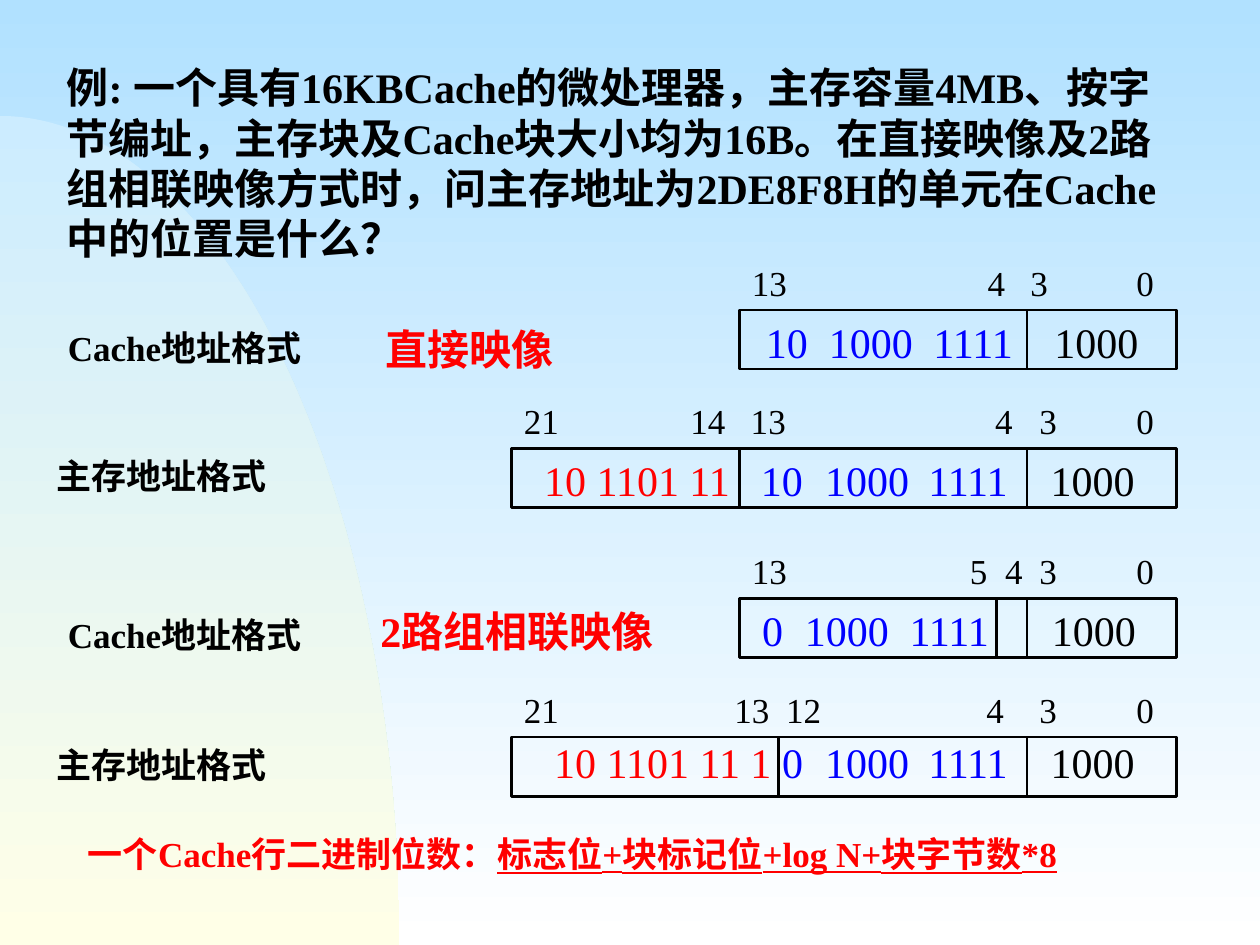
"""Build the slide on cache and main memory address formats."""
from dataclasses import dataclass
from math import cos, pi, sin

from lxml.etree import SubElement
from pptx import Presentation
from pptx.dml.color import RGBColor
from pptx.enum.shapes import MSO_CONNECTOR, MSO_SHAPE
from pptx.enum.text import MSO_AUTO_SIZE
from pptx.oxml.ns import qn
from pptx.util import Inches, Pt

RECT = MSO_SHAPE.RECTANGLE
LINE = MSO_CONNECTOR.STRAIGHT
GROW = MSO_AUTO_SIZE.SHAPE_TO_FIT_TEXT


@dataclass(frozen=True)
class Theme:
    """Colours, fonts and type sizes."""
    black: str = "000000"
    red: str = "FF0000"
    blue: str = "0000FF"
    sky: tuple = ("B1E1FF", "FFFFFF")
    glow: tuple = ("CCECFF", "FFFFE7")
    latin: str = "Times New Roman"
    cjk: str = "Noto Sans CJK SC"
    big: int = 24
    small: int = 20
    rule: float = 1.5


@dataclass(frozen=True)
class Run:
    """A stretch of text in one format."""
    text: str
    color: str
    size: int
    bold: bool = False
    under: bool = False
    font: str = "Times New Roman"


@dataclass(frozen=True)
class Field:
    """An address register: frame, dividers, bit numbers and bit values."""
    left: float
    top: float
    cuts: tuple
    marks: str
    mtabs: tuple
    start: float
    rise: float
    bits: tuple
    btabs: tuple


T = Theme()
WIDE, HIGH = Inches(10), Inches(7.5)
COLS, ROWS = 100, 75
RIGHT, TALL = 93.4, 4.7
PAD = 1


def col(n: float) -> int:
    """Turn grid columns into a length."""
    return round(WIDE * n / COLS)


def row(n: float) -> int:
    """Turn grid rows into a length."""
    return round(HIGH * n / ROWS)


def blend(fill, pair: tuple) -> None:
    """Fill from top to bottom with two colours."""
    fill.gradient()
    fill.gradient_angle = 270
    for stop, tone in zip(fill.gradient_stops, pair):
        stop.color.rgb = RGBColor.from_string(tone)


def ink(line) -> None:
    """Give a line the theme's rule."""
    line.color.rgb = RGBColor.from_string(T.black)
    line.width = Pt(T.rule)


def write(slide, left: float, top: float, wide: float, tall: float,
          runs: tuple, tabs: tuple = ()) -> None:
    """Write one paragraph, with tab stops at the given slide columns."""
    box = slide.shapes.add_textbox(col(left), row(top), col(wide), row(tall))
    frame = box.text_frame
    for name, value in {"word_wrap": True, "auto_size": GROW}.items():
        setattr(frame, name, value)
    para = frame.paragraphs[0]
    if tabs:
        stops = SubElement(para._p.get_or_add_pPr(), qn("a:tabLst"))
        for tab in tabs:
            SubElement(stops, qn("a:tab"), pos=str(col(tab - left - PAD)), algn="l")
    for item in runs:
        run = para.add_run()
        run.text = item.text
        run.font.color.rgb = RGBColor.from_string(item.color)
        form = {"size": Pt(item.size), "bold": item.bold,
                "underline": item.under, "name": item.font}
        for name, value in form.items():
            setattr(run.font, name, value)
        SubElement(run._r.get_or_add_rPr(), qn("a:ea"), typeface=T.cjk)


def curve(slide) -> None:
    """Draw the quarter ellipse behind the text."""
    wide, top, steps = 31.7, 9.2, 90
    turns = [pi / 2 * n / steps for n in range(steps + 1)]
    pts = [(col(wide * sin(a)), row(ROWS - (ROWS - top) * cos(a))) for a in turns]
    pen = slide.shapes.build_freeform(*pts[0])
    pen.add_line_segments(pts[1:] + [(0, HIGH)], close=True)
    shape = pen.convert_to_shape()
    shape.shadow.inherit = False
    shape.line.fill.background()
    blend(shape.fill, T.glow)


def draw(slide, field: Field) -> None:
    """Draw an address register with its text."""
    wide = RIGHT - field.left
    frame = slide.shapes.add_shape(RECT, col(field.left), row(field.top),
                                   col(wide), row(TALL))
    frame.shadow.inherit = False
    frame.fill.background()
    ink(frame.line)
    for cut in field.cuts:
        bar = slide.shapes.add_connector(LINE, col(cut), row(field.top),
                                         col(cut), row(field.top + TALL))
        ink(bar.line)
        SubElement(bar._element.spPr, qn("a:effectLst"))
    write(slide, field.left, field.top - 4.35, wide, 4.4,
          (Run(field.marks, T.black, T.small),), field.mtabs)
    runs = tuple(Run(text, tone, T.big) for text, tone in field.bits)
    write(slide, field.start, field.top - field.rise, 92.6 - field.start, 5,
          runs, field.btabs)


LOW = ("1000", T.black)
SET = ("0\t1000\t1111\t", T.blue)
LINE_BITS = ("10\t1000\t1111\t", T.blue)
FIELDS = (
    Field(58.7, 24.6, (81.5,), "13\t4\t3\t0", (78.4, 81.8, 90.2),
          59.8, 0, (LINE_BITS, LOW), (65.8, 74.1, 83.7)),
    Field(40.6, 35.6, (58.7, 81.5), "21\t14\t13\t4\t3\t0",
          (54.8, 59.6, 79, 82.5, 90.2), 42.2, 0,
          (("10 1101 11\t", T.red), LINE_BITS, LOW), (60.4, 65.5, 73.7, 83.4)),
    Field(58.7, 47.5, (79.1, 81.5), "13\t5\t4\t3\t0", (77, 79.8, 82.5, 90.2),
          59.5, 0, (SET, LOW), (63.9, 72.2, 83.5)),
    Field(40.6, 58.5, (61.8, 81.5), "21\t13\t12\t4\t3\t0",
          (58.3, 62.4, 78.3, 82.5, 90.2), 43, 0.5,
          (("10 1101 11 1\t", T.red), SET, LOW), (62.1, 65.5, 73.7, 83.4)),
)
TASK = ("例: 一个具有16KBCache的微处理器，主存容量4MB、按字节编址，主存块及Cache块大小均为16B。"
        "在直接映像及2路组相联映像方式时，问主存地址为2DE8F8H的单元在Cache中的位置是什么？")


def main() -> None:
    """Build and save the slide."""
    deck = Presentation()
    deck.slide_width, deck.slide_height = WIDE, HIGH
    slide = deck.slides.add_slide(deck.slide_layouts[6])
    blend(slide.background.fill, T.sky)
    curve(slide)
    write(slide, 4.3, 4.4, 89, 17, (Run(TASK, T.black, T.big, True),))
    for field in FIELDS:
        draw(slide, field)
    for top in (25.4, 48.2):
        write(slide, 4.4, top, 21.2, 4.4,
              (Run("Cache地址格式", T.black, T.small, True),))
    for top in (35.6, 58.5):
        write(slide, 3.5, top, 18.9, 4.4,
              (Run("主存地址格式", T.black, T.small, True),))
    write(slide, 29.6, 25.2, 15.5, 5,
          (Run("直接映像", T.red, T.big, True, font=T.cjk),))
    write(slide, 29.2, 47.6, 25, 5, (Run("2路组相联映像", T.red, T.big, True),))
    write(slide, 6, 65.6, 80.7, 7.7, (
        Run("一个Cache行二进制位数：", T.red, T.small, True),
        Run("标志位+块标记位+log N+块字节数*8", T.red, T.small, True, True)))
    deck.save("out.pptx")


if __name__ == "__main__":
    main()
